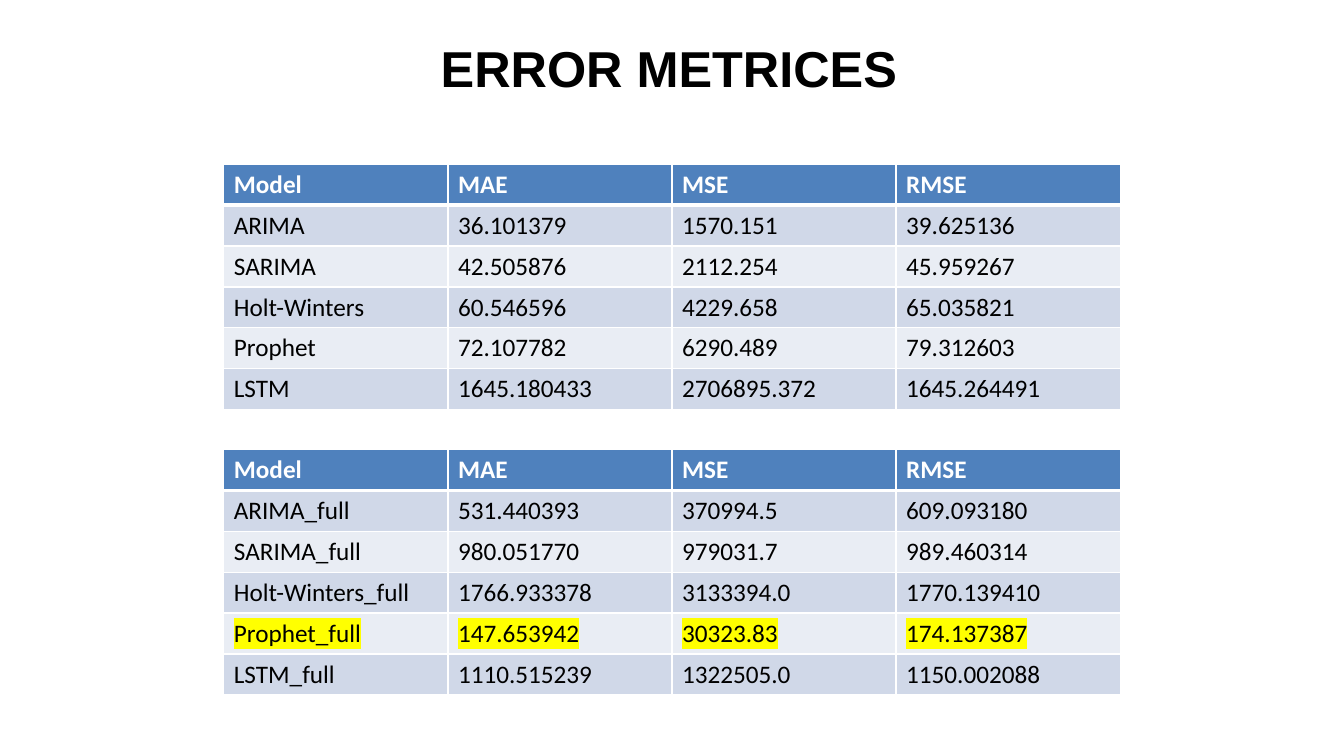
from lxml import etree
from pptx import Presentation
from pptx import util as u
from pptx.dml.color import RGBColor
from pptx.enum import text as t
from pptx.oxml.ns import qn

HEADINGS = ["Model", "MAE", "MSE", "RMSE"]
TEST_ERRORS = [
    ["ARIMA", "36.101379", "1570.151", "39.625136"],
    ["SARIMA", "42.505876", "2112.254", "45.959267"],
    ["Holt-Winters", "60.546596", "4229.658", "65.035821"],
    ["Prophet", "72.107782", "6290.489", "79.312603"],
    ["LSTM", "1645.180433", "2706895.372", "1645.264491"],
]
FULL_ERRORS = [
    ["ARIMA_full", "531.440393", "370994.5", "609.093180"],
    ["SARIMA_full", "980.051770", "979031.7", "989.460314"],
    ["Holt-Winters_full", "1766.933378", "3133394.0", "1770.139410"],
    ["Prophet_full", "147.653942", "30323.83", "174.137387"],
    ["LSTM_full", "1110.515239", "1322505.0", "1150.002088"],
]


def color(hex_value):
    return RGBColor.from_string(hex_value)


def write(frame, content, size=18, font="Calibri", ink="000000", bold=False,
          align=t.PP_ALIGN.LEFT, highlight=None):
    paragraph = frame.paragraphs[0]
    paragraph.alignment = align
    run = paragraph.add_run()
    run.text = content
    run.font.size = u.Pt(size)
    run.font.bold = bold
    run.font.color.rgb = color(ink)
    run.font.name = font
    if highlight:
        marker = etree.Element(qn("a:highlight"))
        etree.SubElement(marker, qn("a:srgbClr"), val=highlight)
        run.font._element.find(qn("a:solidFill")).addnext(marker)


def set_borders(cell, hex_value, **widths):
    properties = cell._tc.get_or_add_tcPr()
    for position, side in enumerate("LRTB"):
        line = etree.Element(qn(f"a:ln{side}"), w=str(u.Pt(widths.get(side, 1))))
        fill = etree.SubElement(line, qn("a:solidFill"))
        etree.SubElement(fill, qn("a:srgbClr"), val=hex_value)
        properties.insert(position, line)


def add_title(slide, content, left, top, width, height):
    box = slide.shapes.add_textbox(*map(u.Inches, (left, top, width, height)))
    frame = box.text_frame
    frame.word_wrap = True
    frame.auto_size = t.MSO_AUTO_SIZE.SHAPE_TO_FIT_TEXT
    write(frame, content, size=36, font="Arial", bold=True, align=t.PP_ALIGN.CENTER)


def add_metrics(slide, models, left, top, width, height, best=None):
    rows = [HEADINGS] + models
    box = map(u.Inches, (left, top, width, height))
    metrics = slide.shapes.add_table(len(rows), len(HEADINGS), *box).table
    for row, values in enumerate(rows):
        header = row == 0
        fill = "4F81BD" if header else ("E9EDF4", "D0D8E8")[row % 2]
        for column, value in enumerate(values):
            cell = metrics.cell(row, column)
            cell.fill.solid()
            cell.fill.fore_color.rgb = color(fill)
            cell.vertical_anchor = t.MSO_ANCHOR.BOTTOM if header else t.MSO_ANCHOR.MIDDLE
            set_borders(cell, "FFFFFF", T=3 if row == 1 else 1, B=3 if header else 1)
            write(cell.text_frame, value, bold=header,
                  ink="FFFFFF" if header else "000000",
                  highlight="FFFF00" if values[0] == best else None)


def main():
    deck = Presentation()
    deck.slide_width, deck.slide_height = u.Inches(13.33), u.Inches(7.5)
    slide = deck.slides.add_slide(deck.slide_layouts[6])
    add_metrics(slide, TEST_ERRORS, 2.22, 1.63, 8.89, 2.43)
    add_metrics(slide, FULL_ERRORS, 2.22, 4.46, 8.89, 2.43, best="Prophet_full")
    add_title(slide, "ERROR METRICES", 0.31, 0.32, 12.65, 0.71)
    deck.save("out.pptx")


if __name__ == "__main__":
    main()
